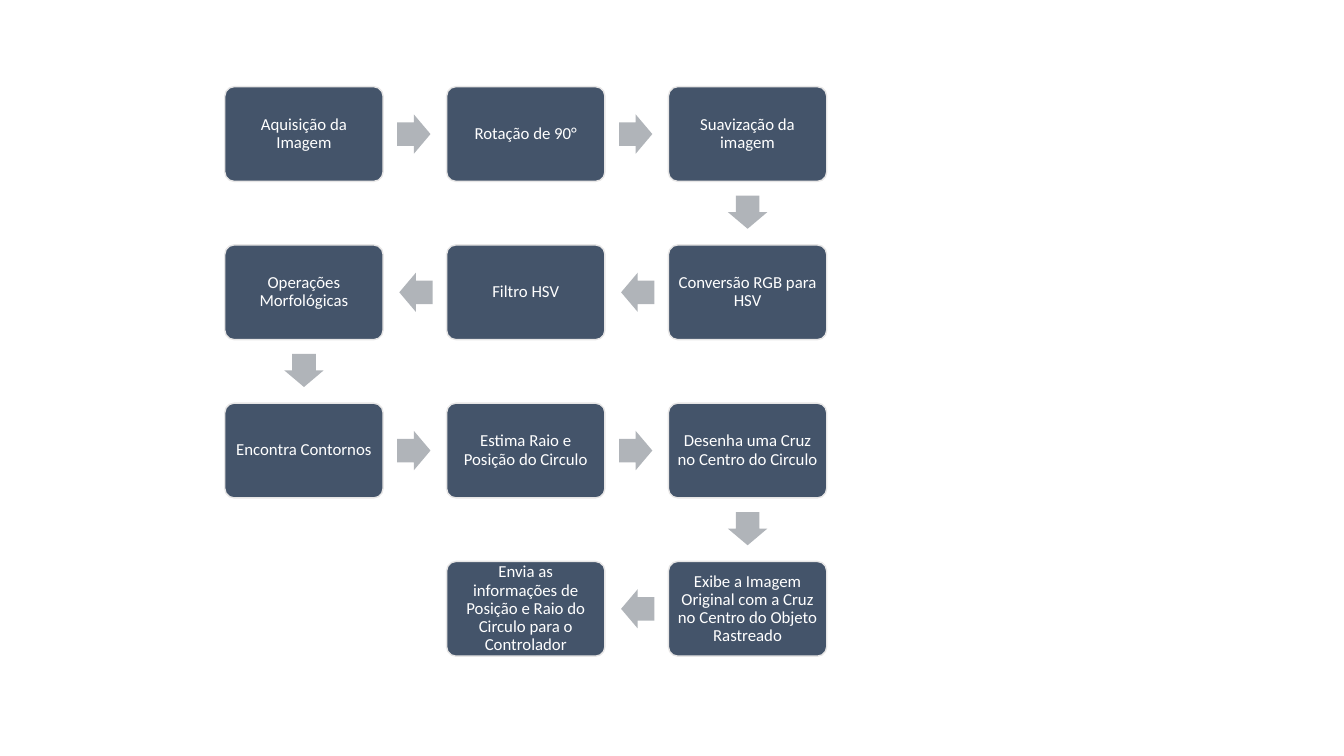
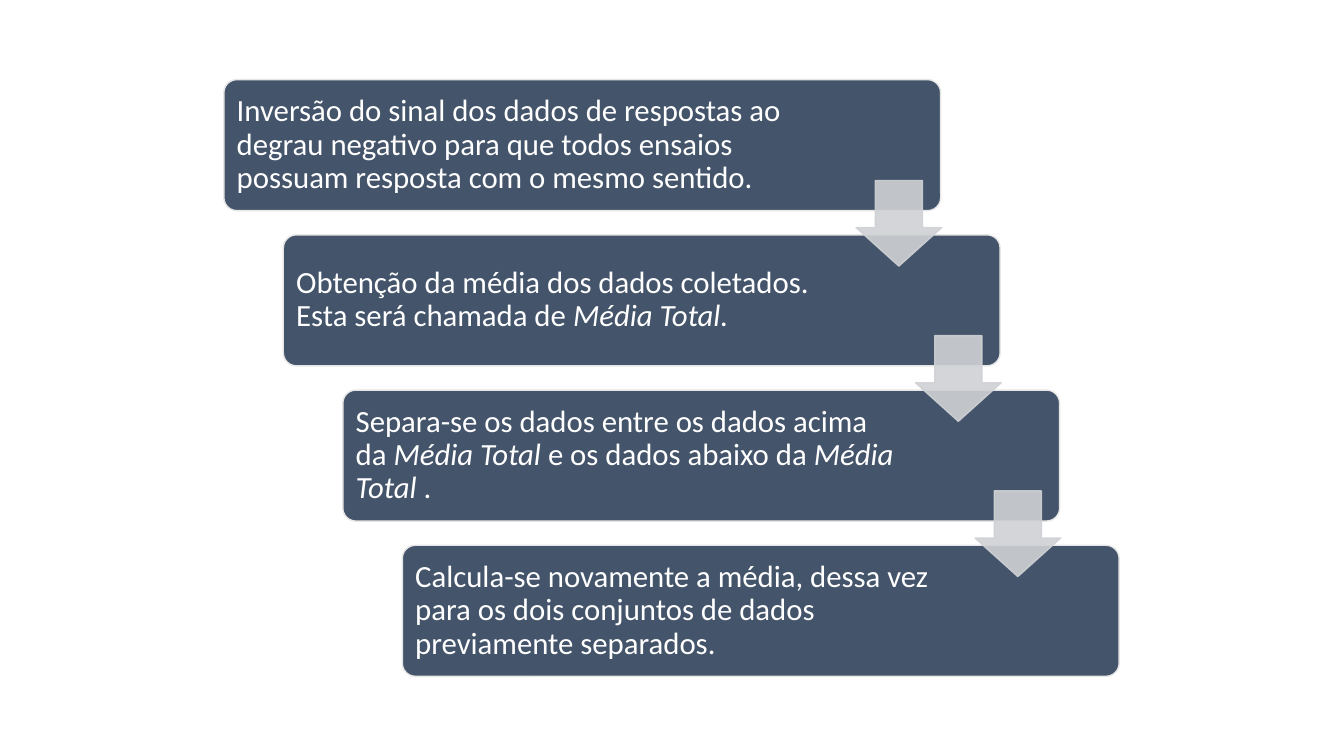
from dataclasses import dataclass

from lxml import etree
from pptx import Presentation
from pptx import util as u
from pptx.dml.color import RGBColor
from pptx.enum import shapes, text
from pptx.oxml import ns

SHAPE = shapes.MSO_SHAPE
ALIGN = text.PP_ALIGN


@dataclass(frozen=True)
class Theme:
    """Colours, font and type sizes shared by the slides."""
    box: str = "44546A"
    edge: str = "E7E6E6"
    ink: str = "FFFFFF"
    flow_arrow: str = "B0B4B9"
    step_arrow: str = "CFD1D4"
    font: str = "Calibri"
    small: int = 12
    large: int = 22


def write_text(tf, parts, *, theme, size, align, margin, right=None):
    """Write parts as one paragraph; every second part is italic."""
    tf.word_wrap = True
    tf.vertical_anchor = text.MSO_ANCHOR.MIDDLE
    tf.margin_left = tf.margin_top = tf.margin_bottom = u.Inches(margin)
    tf.margin_right = u.Inches(margin if right is None else right)
    p = tf.paragraphs[0]
    p.alignment = align
    p.line_spacing = 0.9
    for i, part in enumerate(parts):
        r = p.add_run()
        r.text = part
        r.font.name = theme.font
        r.font.size = u.Pt(size)
        r.font.italic = i % 2 == 1
        r.font.color.rgb = RGBColor.from_string(theme.ink)


def set_opacity(sp, percent):
    """Make the fill and the line of a shape partly transparent."""
    for color in sp._element.spPr.iter(ns.qn("a:srgbClr")):
        alpha = etree.SubElement(color, ns.qn("a:alpha"))
        alpha.set("val", str(percent * 1000))


class Deck:
    def __init__(self, theme):
        self.theme = theme
        self.prs = Presentation()
        self.prs.slide_width = u.Inches(13.33)
        self.prs.slide_height = u.Inches(7.5)
        self.s = None

    def new_slide(self):
        self.s = self.prs.slides.add_slide(self.prs.slide_layouts[6])

    def shape(self, kind, x, y, w, h, fill, adj, line=None):
        sp = self.s.shapes.add_shape(kind, *map(u.Inches, (x, y, w, h)))
        sp.shadow.inherit = False
        for i, value in enumerate(adj):
            sp.adjustments[i] = value
        sp.fill.solid()
        sp.fill.fore_color.rgb = RGBColor.from_string(fill)
        if line:
            sp.line.color.rgb = RGBColor.from_string(line)
            sp.line.width = u.Pt(1)
        else:
            sp.line.fill.background()
        return sp

    def box(self, x, y, w, h, parts, **fmt):
        sp = self.shape(SHAPE.ROUNDED_RECTANGLE, x, y, w, h,
                        self.theme.box, [0.1], self.theme.edge)
        write_text(sp.text_frame, parts, theme=self.theme, **fmt)

    def flow_arrow(self, cx, cy, angle):
        w, h = 0.33, 0.39
        sp = self.shape(SHAPE.RIGHT_ARROW, cx - w / 2, cy - h / 2, w, h,
                        self.theme.flow_arrow, [0.6, 0.5])
        sp.rotation = angle

    def step_arrow(self, x, y):
        color = self.theme.step_arrow
        sp = self.shape(SHAPE.DOWN_ARROW, x, y, 0.85, 0.85,
                        color, [0.55, 0.45], color)
        set_opacity(sp, 90)


def image_flow(deck):
    """Serpentine flow in three columns."""
    steps = [
        "Aquisição da Imagem",
        "Rotação de 90°",
        "Suavização da imagem",
        "Conversão RGB para HSV",
        "Filtro HSV",
        "Operações Morfológicas",
        "Encontra Contornos",
        "Estima Raio e Posição do Circulo",
        "Desenha uma Cruz no Centro do Circulo",
        "Exibe a Imagem Original com a Cruz no Centro do Objeto Rastreado",
        "Envia as informações de Posição e Raio do Circulo para o Controlador",
    ]
    w, h, columns = 1.57, 0.94, 3
    deck.new_slide()

    # Boxes: every second row runs from right to left
    centres = []
    for i, step in enumerate(steps):
        row, col = divmod(i, columns)
        if row % 2:
            col = columns - 1 - col
        x, y = 2.23 + 2.2 * col, 0.86 + 1.57 * row
        deck.box(x, y, w, h, [step], size=deck.theme.small,
                 align=ALIGN.CENTER, margin=0.05)
        centres.append((x + w / 2, y + h / 2))

    # Arrows: midway between neighbours, slightly nearer the first
    for (x1, y1), (x2, y2) in zip(centres, centres[1:]):
        dx = (x2 > x1) - (x2 < x1)
        dy = 0 if dx else 1
        angle = 90 if dy else 0 if dx > 0 else 180
        deck.flow_arrow((x1 + x2) / 2 - 0.01 * dx,
                        (y1 + y2) / 2 - 0.01 * dy, angle)


def data_steps(deck):
    """Descending staircase of four steps."""
    steps = [
        ["Inversão do sinal dos dados de respostas ao degrau negativo para "
         "que todos ensaios possuam resposta com o mesmo sentido."],
        ["Obtenção da média dos dados coletados. Esta será chamada de ",
         "Média Total."],
        ["Separa-se os dados entre os dados acima da ", "Média Total",
         " e os dados abaixo da ", "Média Total", " ."],
        ["Calcula-se novamente a média, dessa vez para os dois conjuntos de "
         "dados previamente separados."],
    ]
    deck.new_slide()
    corners = [(2.22 + 0.59 * i, 0.79 + 1.54 * i) for i in range(len(steps))]

    # Boxes
    for (x, y), parts in zip(corners, steps):
        deck.box(x, y, 7.11, 1.3, parts, size=deck.theme.large,
                 align=ALIGN.LEFT, margin=0.09, right=1.53)

    # Arrows over the box edges
    for x, y in corners[:-1]:
        deck.step_arrow(x + 6.27, y + 1)


def main():
    deck = Deck(Theme())
    image_flow(deck)
    data_steps(deck)
    deck.prs.save("out.pptx")


if __name__ == "__main__":
    main()
